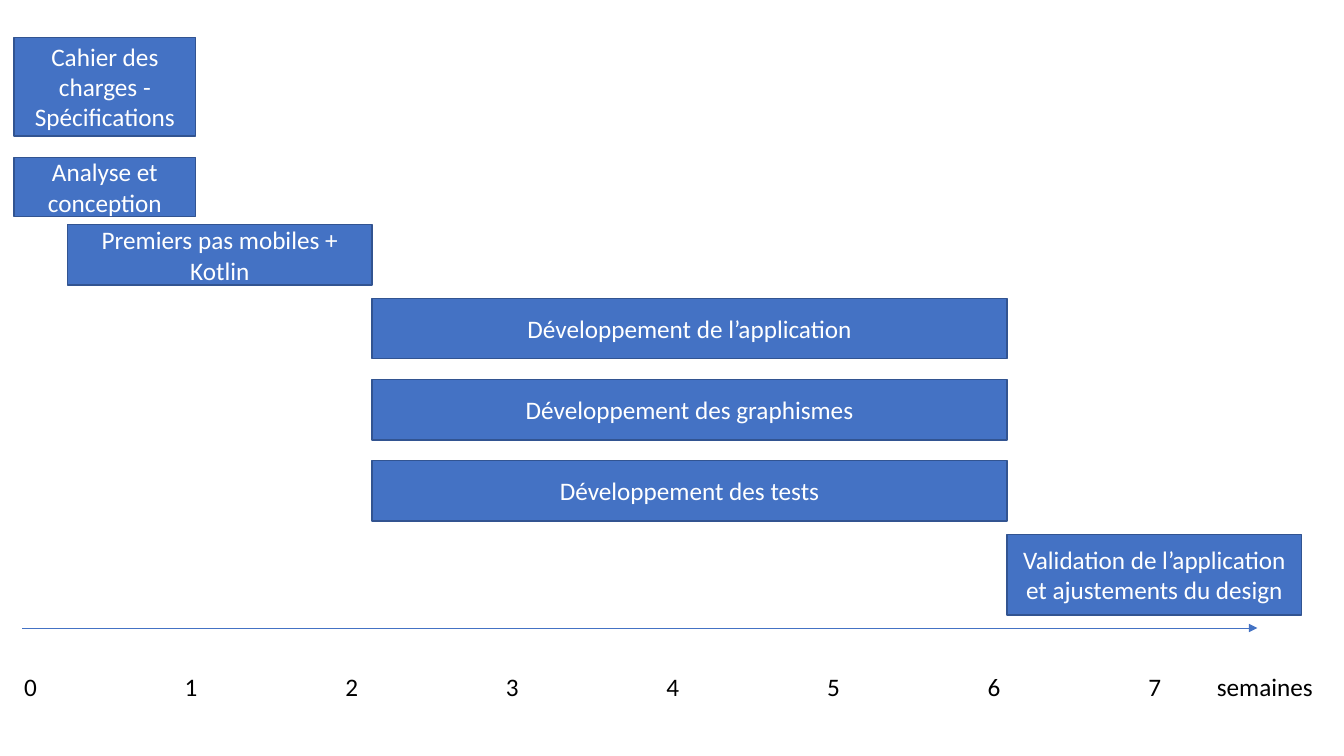
from lxml import etree
from pptx import Presentation
from pptx.dml.color import RGBColor
from pptx.enum.shapes import MSO_CONNECTOR, MSO_SHAPE
from pptx.enum.text import MSO_ANCHOR, PP_ALIGN
from pptx.oxml.ns import qn
from pptx.util import Inches, Pt

RECTANGLE = MSO_SHAPE.RECTANGLE
STRAIGHT = MSO_CONNECTOR.STRAIGHT
MIDDLE = MSO_ANCHOR.MIDDLE
CENTER, LEFT = PP_ALIGN.CENTER, PP_ALIGN.LEFT

COLORS = {"bar": "4472C4", "border": "325491", "bar_text": "FFFFFF", "axis_text": "000000"}

deck = Presentation()
deck.slide_width, deck.slide_height = Inches(13.33), Inches(7.5)
page = deck.slides.add_slide(deck.slide_layouts[6])
column, row = deck.slide_width / 100, deck.slide_height / 100


def place(left, top, width, height):
    return [round(left * column), round(top * row), round(width * column), round(height * row)]


def write(box, text, color, alignment):
    box.text_frame.word_wrap = True
    para = box.text_frame.paragraphs[0]
    para.alignment = alignment
    span = para.add_run()
    span.text = text
    for name, value in {"name": "Calibri", "size": Pt(18)}.items():
        setattr(span.font, name, value)
    span.font.color.rgb = RGBColor.from_string(COLORS[color])
    return para


axis_left, axis_right, axis_top = 1.65, 93.55, 83.07
axis = page.shapes.add_connector(
    STRAIGHT, round(axis_left * column), round(axis_top * row),
    round(axis_right * column), round(axis_top * row))
axis.line.color.rgb = RGBColor.from_string(COLORS["bar"])
axis.line.width = Pt(0.5)
etree.SubElement(axis.line._get_or_add_ln(), qn("a:tailEnd"), type="triangle")
etree.SubElement(axis._element.spPr, qn("a:effectLst"))

project_start, learning_start, build_start, build_end, project_end = 1.05, 5.03, 27.68, 74.94, 96.84
analysis_end = 14.55
build_top, build_step = 39.47, 10.73

week_step, unit_offset, last_week = 11.95, 88.75, 7
labels = [str(week) for week in range(last_week + 1)] + ["semaines"]
scale = page.shapes.add_textbox(*place(project_start, 88.13, 98.95, 5.33))
scale_para = write(scale, "\t".join(labels), "axis_text", LEFT)
tabs = etree.SubElement(scale_para._p.get_or_add_pPr(), qn("a:tabLst"))
for offset in [week_step * week for week in range(1, last_week + 1)] + [unit_offset]:
    etree.SubElement(tabs, qn("a:tab"), pos=str(round(offset * column)), algn="l")

tasks = [
    ("Cahier des charges - Spécifications", project_start, analysis_end, 4.93, 13.07),
    ("Analyse et conception", project_start, analysis_end, 20.8, 7.87),
    ("Premiers pas mobiles + Kotlin", learning_start, build_start, 29.73, 8),
    ("Validation de l’application et ajustements du design", build_end, project_end, 70.67, 10.67),
]
for index, subject in enumerate(["de l’application", "des graphismes", "des tests"]):
    tasks.append((f"Développement {subject}", build_start, build_end,
                  build_top + index * build_step, 8))

for text, start, end, top, height in tasks:
    bar = page.shapes.add_shape(RECTANGLE, *place(start, top, end - start, height))
    bar.shadow.inherit = False
    bar.fill.solid()
    bar.fill.fore_color.rgb = RGBColor.from_string(COLORS["bar"])
    bar.line.color.rgb = RGBColor.from_string(COLORS["border"])
    bar.line.width = Pt(1)
    bar.text_frame.vertical_anchor = MIDDLE
    write(bar, text, "bar_text", CENTER)

deck.save("out.pptx")
